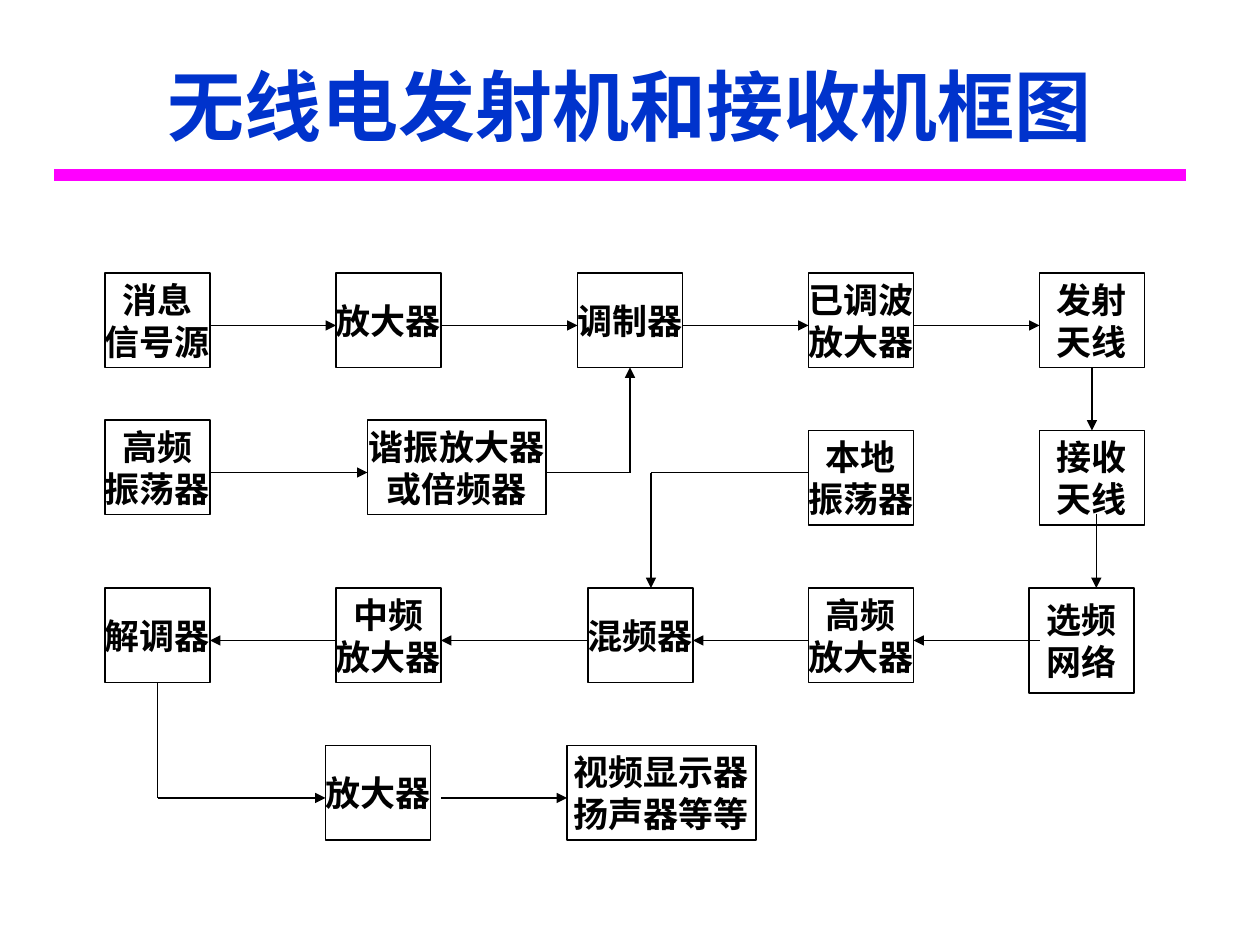
from pptx import Presentation
from pptx import util as u
from pptx.dml.color import RGBColor
from pptx.enum import shapes, text
from pptx.oxml.ns import qn
from lxml import etree


def rgb(value):
    return RGBColor.from_string(value)


def add_line(s, x1, y1, x2, y2, color="000000", width=0.75, arrow=True):
    c = s.shapes.add_connector(shapes.MSO_CONNECTOR.STRAIGHT, u.Pt(x1), u.Pt(y1), u.Pt(x2), u.Pt(y2))
    c.line.color.rgb = rgb(color)
    c.line.width = u.Pt(width)
    if arrow:
        etree.SubElement(c.line._get_or_add_ln(), qn("a:tailEnd"), type="triangle")
    etree.SubElement(c._element.spPr, qn("a:effectLst"))
    return c


prs = Presentation()
prs.slide_width, prs.slide_height = u.Pt(720), u.Pt(540)
s = prs.slides.add_slide(prs.slide_layouts[5])

title = s.shapes.title
title.left, title.top, title.width, title.height = u.Pt(36), u.Pt(15), u.Pt(648), u.Pt(90)
tf = title.text_frame
tf.text = "无线电发射机和接收机框图"
tf.vertical_anchor = text.MSO_ANCHOR.MIDDLE
p = tf.paragraphs[0]
p.alignment = text.PP_ALIGN.CENTER
p.font.name, p.font.size, p.font.bold = "Arial", u.Pt(44), True
p.font.color.rgb = rgb("0033CC")

add_line(s, 31, 100, 677.5, 100, "FF00FF", 7, arrow=False)

boxes = {
    "source": ("消息\n信号源", 60, 156, 60, 54),
    "amplifier": ("放大器", 192, 156, 60, 54),
    "modulator": ("调制器", 330, 156, 60, 54),
    "power_amp": ("已调波\n放大器", 462, 156, 60, 54),
    "tx_antenna": ("发射\n天线", 594, 156, 60, 54),
    "oscillator": ("高频\n振荡器", 60, 240, 60, 54),
    "multiplier": ("谐振放大器\n或倍频器", 210, 240, 102, 54),
    "local_osc": ("本地\n振荡器", 462, 246, 60, 54),
    "rx_antenna": ("接收\n天线", 594, 246, 60, 54),
    "demodulator": ("解调器", 60, 336, 60, 54),
    "if_amp": ("中频\n放大器", 192, 336, 60, 54),
    "mixer": ("混频器", 336, 336, 60, 54),
    "rf_amp": ("高频\n放大器", 462, 336, 60, 54),
    "selector": ("选频\n网络", 588, 336, 60, 60),
    "output_amp": ("放大器", 186, 426, 60, 54),
    "display": ("视频显示器\n扬声器等等", 324, 426, 108, 54),
}
nodes = {}
for name, (label, x, y, w, h) in boxes.items():
    sp = s.shapes.add_shape(shapes.MSO_SHAPE.RECTANGLE, u.Pt(x), u.Pt(y), u.Pt(w), u.Pt(h))
    sp.shadow.inherit = False
    sp.fill.background()
    sp.line.color.rgb = rgb("000000")
    sp.line.width = u.Pt(1 if name == "selector" else 0.75)
    tf = sp.text_frame
    tf.word_wrap = False
    tf.vertical_anchor = text.MSO_ANCHOR.MIDDLE
    tf.text = label
    for p in tf.paragraphs:
        p.alignment = text.PP_ALIGN.CENTER
        p.font.name, p.font.size, p.font.bold = "Times New Roman", u.Pt(20), True
        p.font.color.rgb = rgb("000000")
    nodes[name] = sp

arrows = [
    (186, [(120, 192), (252, 330), (390, 462), (522, 594)]),
    (270, [(120, 210)]),
    (366, [(594, 522), (462, 396), (336, 252), (192, 120)]),
    (456, [(90, 186), (252, 324)]),
]
for y, spans in arrows:
    for x1, x2 in spans:
        add_line(s, x1, y, x2, y)

add_line(s, 312, 270, 360, 270, arrow=False)
add_line(s, 360, 270, 360, 210).end_connect(nodes["modulator"], 2)
add_line(s, 372, 270, 462, 270, width=1, arrow=False)
add_line(s, 372, 270, 372, 336)
add_line(s, 90, 390, 90, 456, arrow=False).begin_connect(nodes["demodulator"], 2)
add_line(s, 626.5, 294, 626.5, 336)
c = add_line(s, 624, 210, 624, 246)
c.begin_connect(nodes["tx_antenna"], 2)
c.end_connect(nodes["rx_antenna"], 0)

prs.save("out.pptx")
